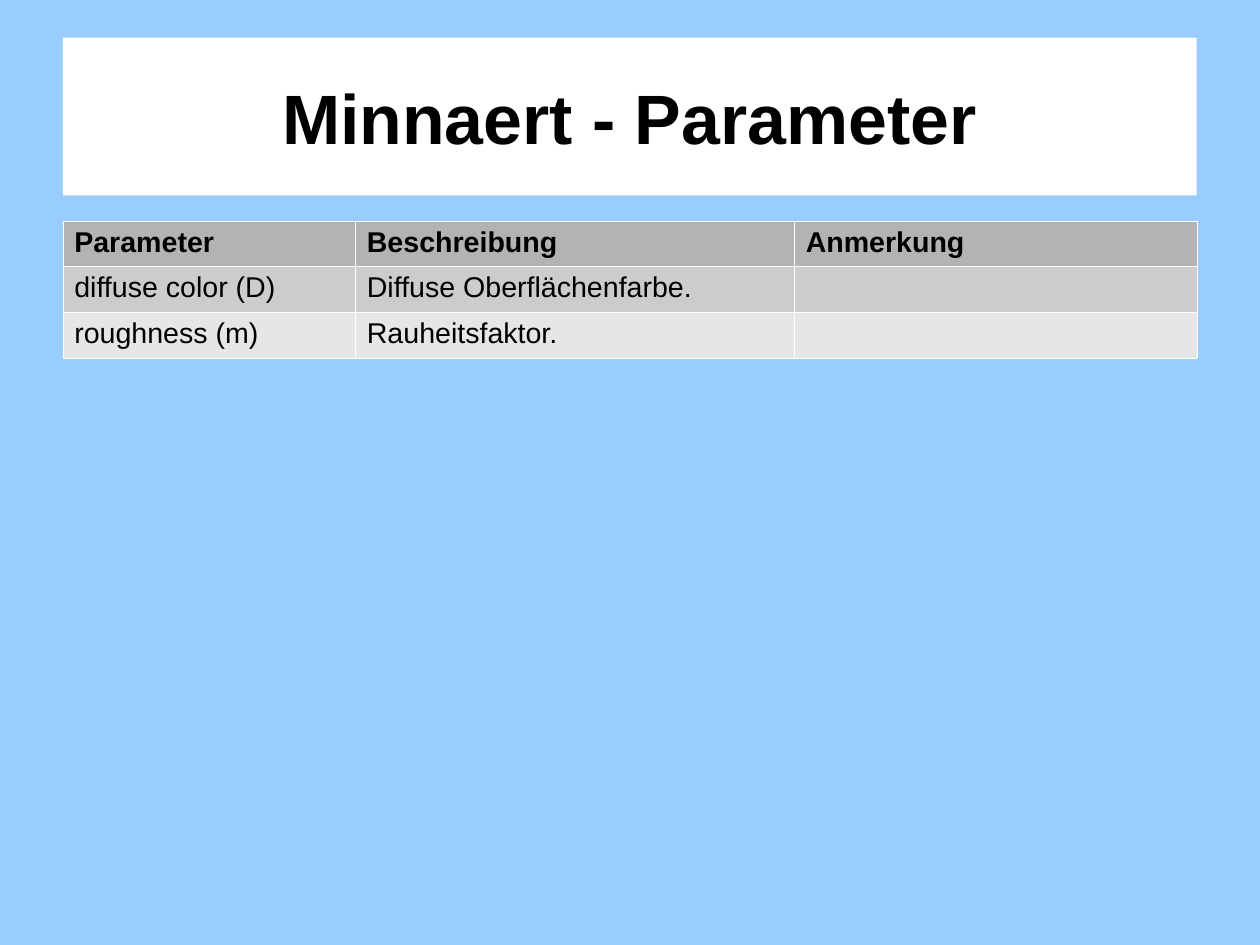
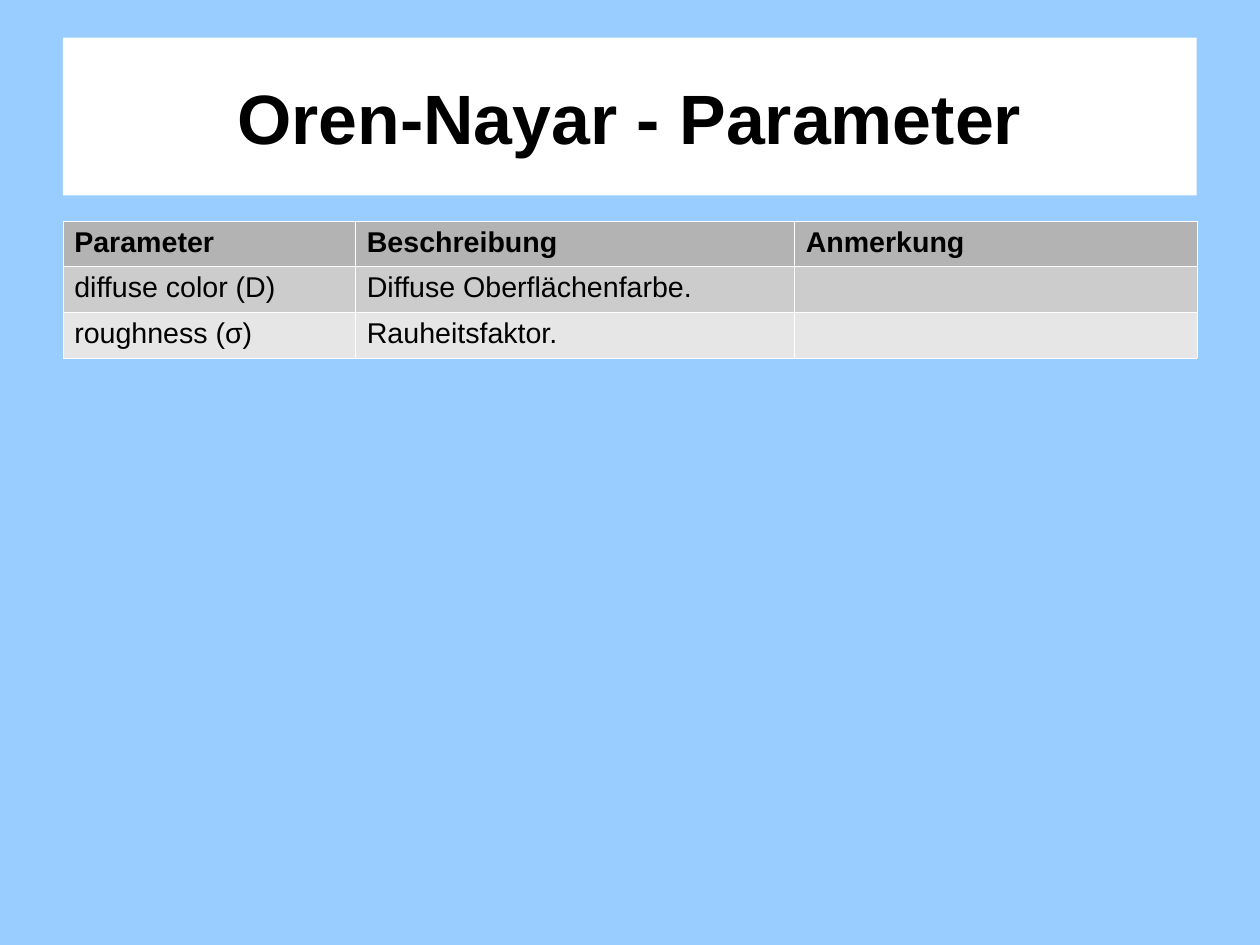
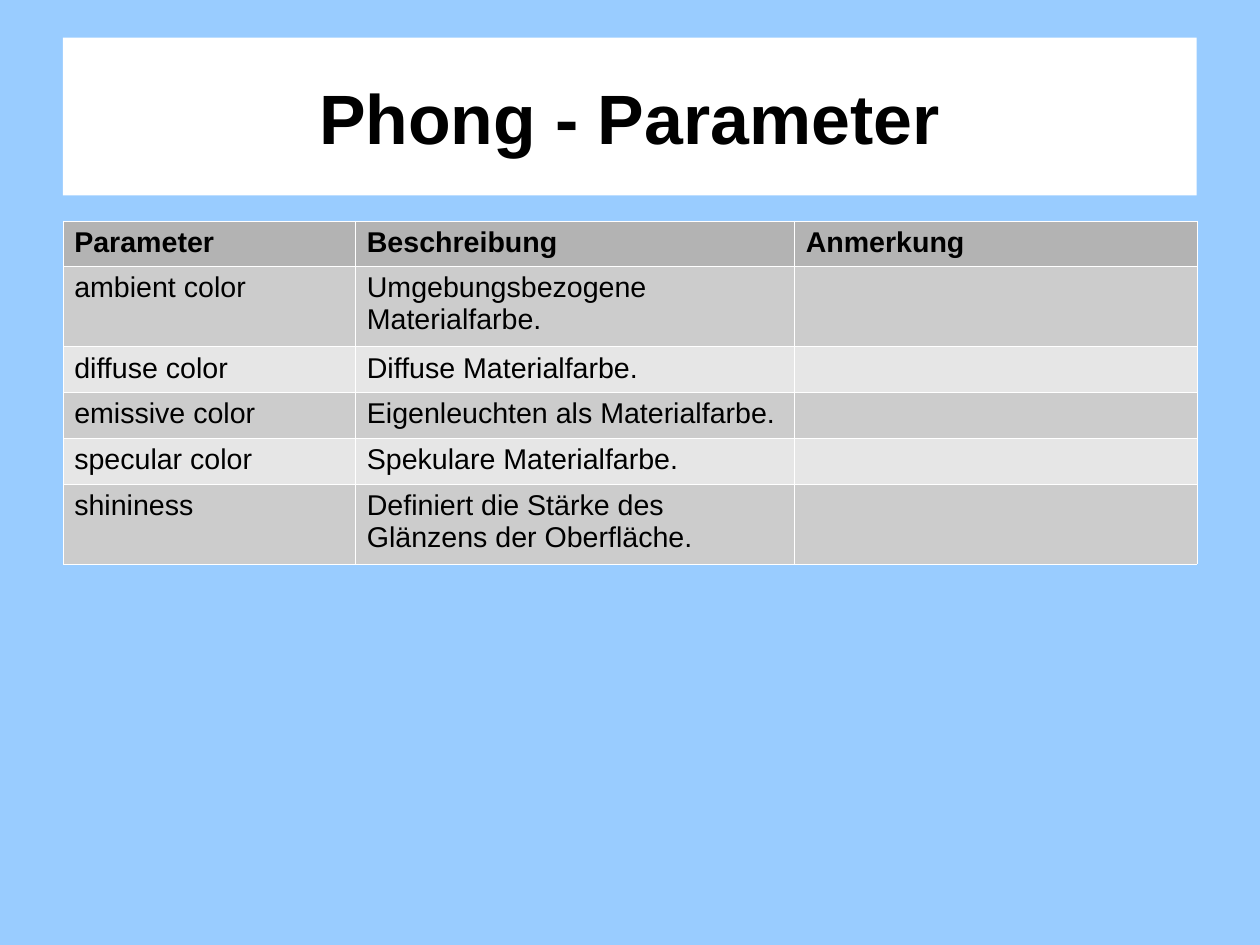
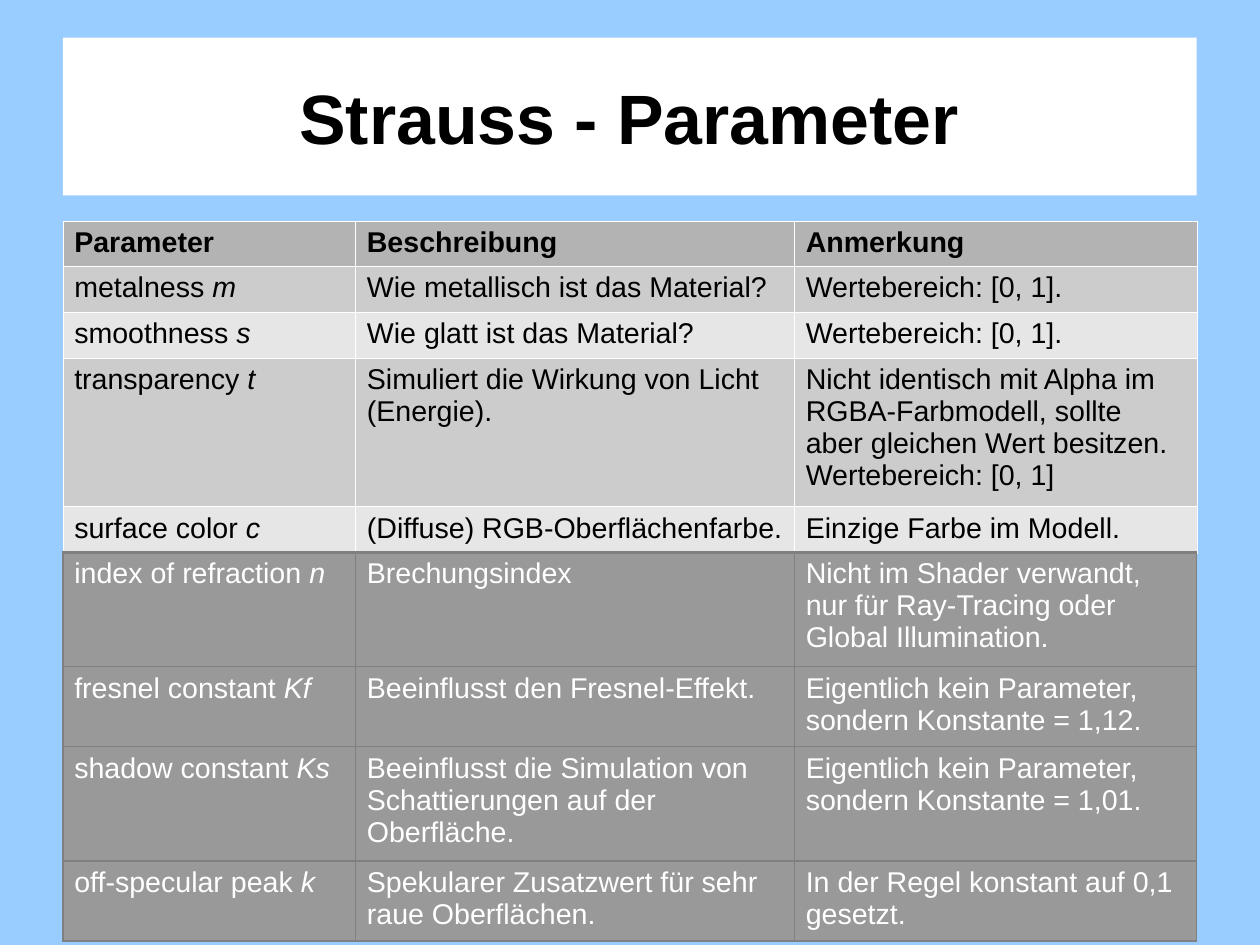
from dataclasses import dataclass

from lxml.etree import SubElement
from pptx import Presentation
from pptx.dml.color import RGBColor
from pptx.enum.text import MSO_ANCHOR, PP_ALIGN
from pptx.oxml.ns import qn
from pptx.util import Inches, Pt

# Shared style; the slide measures 28 by 21 cm
SLIDE_WIDTH, SLIDE_HEIGHT = 28 / 2.54, 21 / 2.54
FONT = "Arial"
SKY, WHITE, BLACK = "99CCFF", "FFFFFF", "000000"
HEADER_GRAY, BANDS = "B3B3B3", ("CCCCCC", "E6E6E6")
UNUSED_GRAY, UNUSED_LINE = "999999", "808080"
LEFT, WIDTH = 0.55, 9.92
TABLE_TOP = 1.93
COLUMN_WIDTHS = (2.56, 3.84, 3.52)
HEADINGS = ("Parameter", "Beschreibung", "Anmerkung")
THIN, MEDIUM, THICK = 0.06, 1.13, 2.27


@dataclass
class Parameter:
    name: str
    description: str
    note: str = ""
    symbol: str = ""
    lines: int = 1
    unused: bool = False


# Content: one parameter list per shading model
MODELS = {
    "Minnaert": [
        Parameter("diffuse color (D)", "Diffuse Oberflächenfarbe."),
        Parameter("roughness (m)", "Rauheitsfaktor."),
    ],
    "Oren-Nayar": [
        Parameter("diffuse color (D)", "Diffuse Oberflächenfarbe."),
        Parameter("roughness (σ)", "Rauheitsfaktor."),
    ],
    "Phong": [
        Parameter("ambient color", "Umgebungsbezogene Materialfarbe.", lines=2),
        Parameter("diffuse color", "Diffuse Materialfarbe."),
        Parameter("emissive color", "Eigenleuchten als Materialfarbe."),
        Parameter("specular color", "Spekulare Materialfarbe."),
        Parameter("shininess", "Definiert die Stärke des Glänzens der Oberfläche.", lines=2),
    ],
    "Strauss": [
        Parameter("metalness ", "Wie metallisch ist das Material?",
                  "Wertebereich: [0, 1].", "m"),
        Parameter("smoothness ", "Wie glatt ist das Material?",
                  "Wertebereich: [0, 1].", "s"),
        Parameter("transparency ", "Simuliert die Wirkung von Licht (Energie).",
                  "Nicht identisch mit Alpha im RGBA-Farbmodell, sollte aber "
                  "gleichen Wert besitzen.\nWertebereich: [0, 1]", "t", 4),
        Parameter("surface color ", "(Diffuse) RGB-Oberflächenfarbe.",
                  "Einzige Farbe im Modell.", "c"),
        Parameter("index of refraction ", "Brechungsindex",
                  "Nicht im Shader verwandt, nur für Ray-Tracing oder "
                  "Global Illumination.", "n", 3, True),
        Parameter("fresnel constant ", "Beeinflusst den Fresnel-Effekt.",
                  "Eigentlich kein Parameter, sondern Konstante = 1,12.", "Kf", 2, True),
        Parameter("shadow constant ",
                  "Beeinflusst die Simulation von Schattierungen auf der Oberfläche.",
                  "Eigentlich kein Parameter, sondern Konstante = 1,01.", "Ks", 3, True),
        Parameter("off-specular peak ",
                  "Spekularer Zusatzwert für sehr raue Oberflächen.",
                  "In der Regel konstant auf 0,1 gesetzt.", "k", 2, True),
    ],
}


def rgb(color):
    return RGBColor.from_string(color)


def fill_solid(fill, color):
    fill.solid()
    fill.fore_color.rgb = rgb(color)


def format_text(frame, size, color, bold=False):
    for paragraph in frame.paragraphs:
        for run in paragraph.runs:
            run.font.name = FONT
            run.font.size = Pt(size)
            run.font.bold = bold
            run.font.color.rgb = rgb(color)


def add_title(slide, text):
    title = slide.shapes.add_textbox(Inches(LEFT), Inches(0.33), Inches(WIDTH), Inches(1.38))
    fill_solid(title.fill, WHITE)
    frame = title.text_frame
    frame.word_wrap = True
    frame.vertical_anchor = MSO_ANCHOR.MIDDLE
    frame.margin_left = frame.margin_right = frame.margin_top = frame.margin_bottom = 0
    frame.text = text
    frame.paragraphs[0].alignment = PP_ALIGN.CENTER
    format_text(frame, 44, BLACK, bold=True)


def set_borders(cell, color, widths):
    """Draw the cell's borders; widths maps L, R, T, B (in this order) to points."""
    properties = cell._tc.get_or_add_tcPr()
    for side, width in widths.items():
        line = SubElement(properties, qn(f"a:ln{side}"), w=str(Pt(width)))
        SubElement(SubElement(line, qn("a:solidFill")), qn("a:srgbClr"), val=color)


def style_row(row, lines, fill, text_color, line_color, widths, bold=False):
    row.height = Inches(0.1 + 0.3 * lines)
    for cell in row.cells:
        set_borders(cell, line_color, widths)
        fill_solid(cell.fill, fill)
        format_text(cell.text_frame, 18, text_color, bold)


def add_parameter_table(slide, parameters):
    table = slide.shapes.add_table(
        len(parameters) + 1, len(HEADINGS),
        Inches(LEFT), Inches(TABLE_TOP), Inches(WIDTH), Inches(0.4)).table
    table.horz_banding = False
    for column, width in zip(table.columns, COLUMN_WIDTHS):
        column.width = Inches(width)
    header, *body = table.rows
    thin = dict.fromkeys("LRTB", THIN)

    # Header
    for cell, heading in zip(header.cells, HEADINGS):
        cell.text_frame.text = heading
    style_row(header, 1, HEADER_GRAY, BLACK, WHITE, thin, bold=True)

    # Parameters, with the unused ones on dark gray
    previous_unused = False
    for index, (row, parameter) in enumerate(zip(body, parameters)):
        texts = (parameter.name, parameter.description, parameter.note)
        for cell, text in zip(row.cells, texts):
            if text:
                cell.text_frame.text = text
        if parameter.symbol:
            symbol = row.cells[0].text_frame.paragraphs[0].add_run()
            symbol.text = parameter.symbol
            symbol.font.italic = True
        if parameter.unused:
            top = MEDIUM if previous_unused else THICK
            widths = {"L": MEDIUM, "R": MEDIUM, "T": top, "B": MEDIUM}
            style_row(row, parameter.lines, UNUSED_GRAY, WHITE, UNUSED_LINE, widths)
        else:
            style_row(row, parameter.lines, BANDS[index % 2], BLACK, WHITE, thin)
        previous_unused = parameter.unused


def main():
    deck = Presentation()
    deck.slide_width, deck.slide_height = Inches(SLIDE_WIDTH), Inches(SLIDE_HEIGHT)
    fill_solid(deck.slide_master.background.fill, SKY)
    blank = deck.slide_layouts[6]
    for model, parameters in MODELS.items():
        slide = deck.slides.add_slide(blank)
        add_title(slide, f"{model} - Parameter")
        add_parameter_table(slide, parameters)
    deck.save("out.pptx")


if __name__ == "__main__":
    main()
